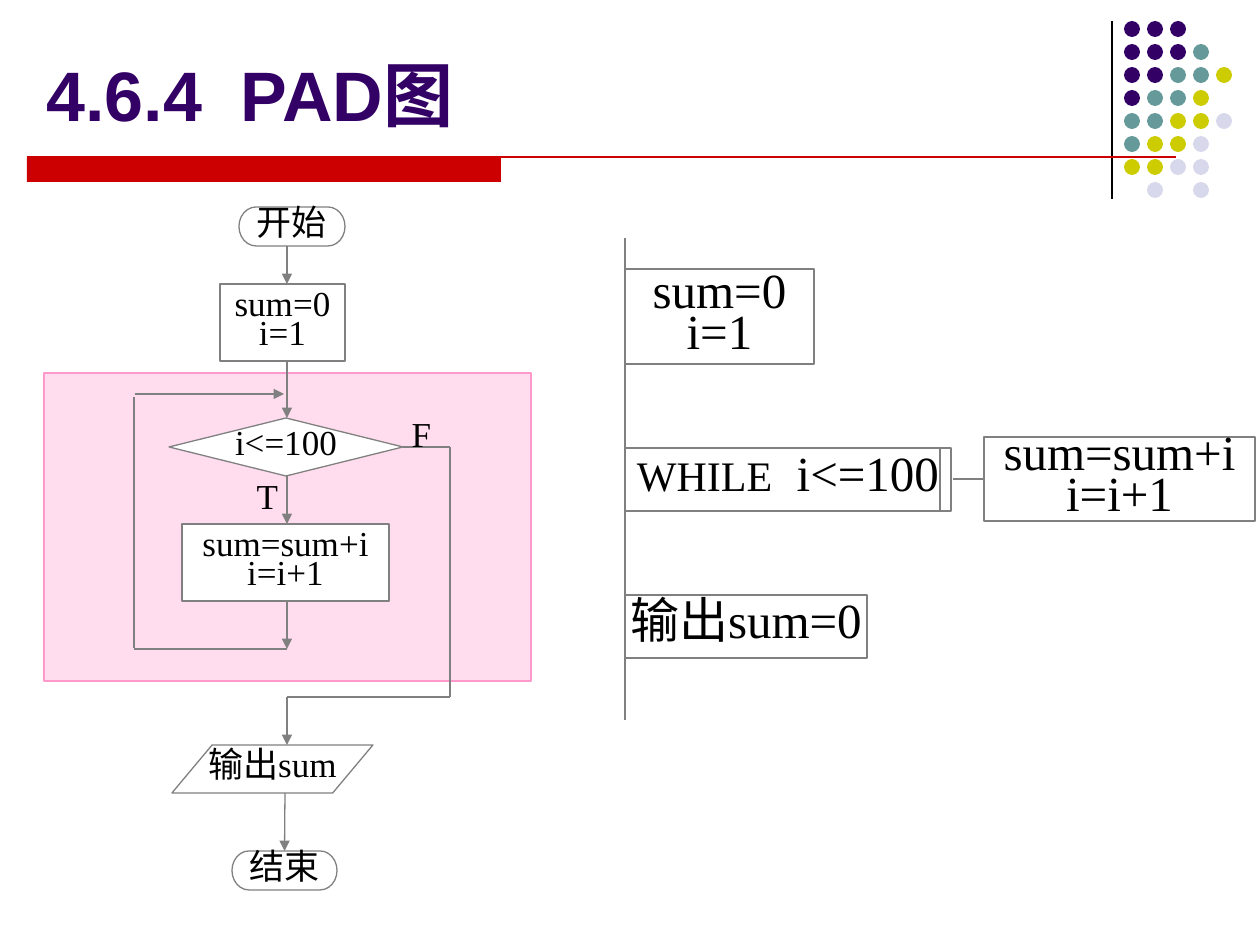
from lxml import etree
from pptx import Presentation
from pptx.dml.color import RGBColor
from pptx.enum.shapes import MSO_CONNECTOR, MSO_SHAPE
from pptx.enum.text import MSO_ANCHOR, MSO_AUTO_SIZE, PP_ALIGN
from pptx.oxml.ns import qn
from pptx.util import Pt

RECT = MSO_SHAPE.RECTANGLE
OVAL = MSO_SHAPE.OVAL
TERM = MSO_SHAPE.FLOWCHART_TERMINATOR
TEST = MSO_SHAPE.FLOWCHART_DECISION
DATA = MSO_SHAPE.FLOWCHART_DATA
LINE = MSO_CONNECTOR.STRAIGHT
LEFT, CENTER = PP_ALIGN.LEFT, PP_ALIGN.CENTER
TOP, MIDDLE = MSO_ANCHOR.TOP, MSO_ANCHOR.MIDDLE
FIXED, GROW = MSO_AUTO_SIZE.NONE, MSO_AUTO_SIZE.SHAPE_TO_FIT_TEXT

SCALE = 914400 / 126
SERIF = "Times New Roman"
BLACK, WHITE, GRAY, RED = "000000", "FFFFFF", "808080", "CC0000"
PURPLE, PINK, ROSE = "330066", "FFDDEE", "FF99CC"

TITLE = "4.6.4  PAD图"
HUES = {"P": PURPLE, "T": "669999", "Y": "CCCC00", "L": "D8D8EC"}
DOTS = ["PPP", "PPPT", "PPTTY", "PTTY", "TTYYL", "TYYL", "YYLL", ".L.L"]
DOT_X, DOT_Y, STEP, DOT = 1124, 21, 23, 16

# name: preset, (left, top, width, height), text, size
PAD = {
    "init": (RECT, (625, 269, 189, 95), "sum=0\ni=1", 28),
    "while": (RECT, (625, 448, 326, 63), "WHILE", 24),
    "do": (RECT, (984, 437, 271, 84), "sum=sum+i\ni=i+1", 28),
    "out": (RECT, (625, 595, 242, 63), "输出sum=0", 28),
}
FLOW = {
    "test": (TEST, (169, 418, 234, 58), "i<=100", 20),
    "start": (TERM, (239, 207, 106, 39), "开始", 20),
    "print": (DATA, (172, 745, 201, 48), "输出sum", 20),
    "end": (TERM, (232, 851, 105, 39), "结束", 20),
    "set": (RECT, (220, 284, 125, 77), "sum=0\ni=1", 20),
    "body": (RECT, (182, 524, 207, 77), "sum=sum+i\ni=i+1", 20),
}
MAIN_X, LOOP_X, EXIT_X = 287, 134, 450
ARROWS = [
    (MAIN_X, 246, MAIN_X, 284),
    (MAIN_X, 361, MAIN_X, 418),
    (MAIN_X, 476, MAIN_X, 524),
    (MAIN_X, 601, MAIN_X, 649),
    (MAIN_X, 697, MAIN_X, 745),
    (LOOP_X + 1, 394, 284, 394),
]
PATHS = [
    (MAIN_X, 649, LOOP_X, 649),
    (LOOP_X, 648, LOOP_X, 397),
    (EXIT_X, 447, EXIT_X, 697),
    (EXIT_X, 697, MAIN_X, 697),
]
LABELS = [("F", (383, 418, 77, 43)), ("T", (229, 480, 77, 43))]


def emu(*nums):
    return [round(n * SCALE) for n in nums]


def rgb(code):
    return RGBColor.from_string(code)


def style(frame, size, name=SERIF, color=BLACK, bold=False, align=CENTER, space=0.7):
    for para in frame.paragraphs:
        para.alignment = align
        para.line_spacing = space
        for run in para.runs:
            font = run.font
            font.size, font.name, font.bold = Pt(size), name, bold
            font.color.rgb = rgb(color)


def shape(kind, area, fill=WHITE, edge=GRAY):
    item = shapes.add_shape(kind, *emu(*area))
    item.shadow.inherit = False
    item.fill.solid()
    item.fill.fore_color.rgb = rgb(fill)
    if edge:
        item.line.color.rgb = rgb(edge)
        item.line.width = Pt(0.75)
    else:
        item.line.fill.background()
    return item


def box(kind, area, text, size):
    item = shape(kind, area)
    frame = item.text_frame
    frame.text = text
    frame.word_wrap = False
    frame.vertical_anchor = MIDDLE
    style(frame, size)
    return item


def line(ends, color=GRAY, arrow=False):
    item = shapes.add_connector(LINE, *emu(*ends))
    item.line.color.rgb = rgb(color)
    item.line.width = Pt(0.75)
    if arrow:
        etree.SubElement(item.line._get_or_add_ln(), qn("a:tailEnd"), type="triangle")
    etree.SubElement(item._element.spPr, qn("a:effectLst"))
    return item


deck = Presentation()
deck.slide_width, deck.slide_height = emu(1260, 945)
slide = deck.slides.add_slide(deck.slide_layouts[5])
shapes = slide.shapes

# Title and decoration
title = shapes.title
title.left, title.top, title.width, title.height = emu(34, 45, 1040, 110)
frame = title.text_frame
frame.text = TITLE
frame.vertical_anchor = TOP
frame.auto_size = FIXED
style(frame, 40, "Arial", PURPLE, True, LEFT, 1.0)

line((1112, 21, 1112, 199), BLACK)
for row, marks in enumerate(DOTS):
    for col, mark in enumerate(marks):
        if mark in HUES:
            spot = (DOT_X + col * STEP, DOT_Y + row * STEP, DOT, DOT)
            shape(OVAL, spot, HUES[mark], None)
shape(RECT, (27, 157, 474, 25), RED, None)
line((27, 157, 1176, 157), RED)

# PAD diagram
line((625, 238, 625, 720))
pad = {name: box(*data) for name, data in PAD.items()}
para = pad["while"].text_frame.paragraphs[0]
run = para.add_run()
run.text = "  i<=100"
run.font.size, run.font.name = Pt(28), SERIF
run.font.color.rgb = rgb(BLACK)
line((940, 448, 940, 511))
line((953, 479, 984, 479)).end_connect(pad["do"], 1)

# Flowchart
shape(RECT, (44, 373, 487, 308), PINK, ROSE)
flow = {name: box(*data) for name, data in FLOW.items()}
for ends in ARROWS:
    line(ends, arrow=True)
for ends in PATHS:
    line(ends)
line((285, 793, 285, 851), arrow=True).end_connect(flow["end"], 0)
line((403, 447, EXIT_X, 447)).begin_connect(flow["test"], 3)
for text, area in LABELS:
    label = shapes.add_textbox(*emu(*area))
    frame = label.text_frame
    frame.text = text
    frame.word_wrap = True
    frame.auto_size = GROW
    style(frame, 20)

deck.save("out.pptx")
